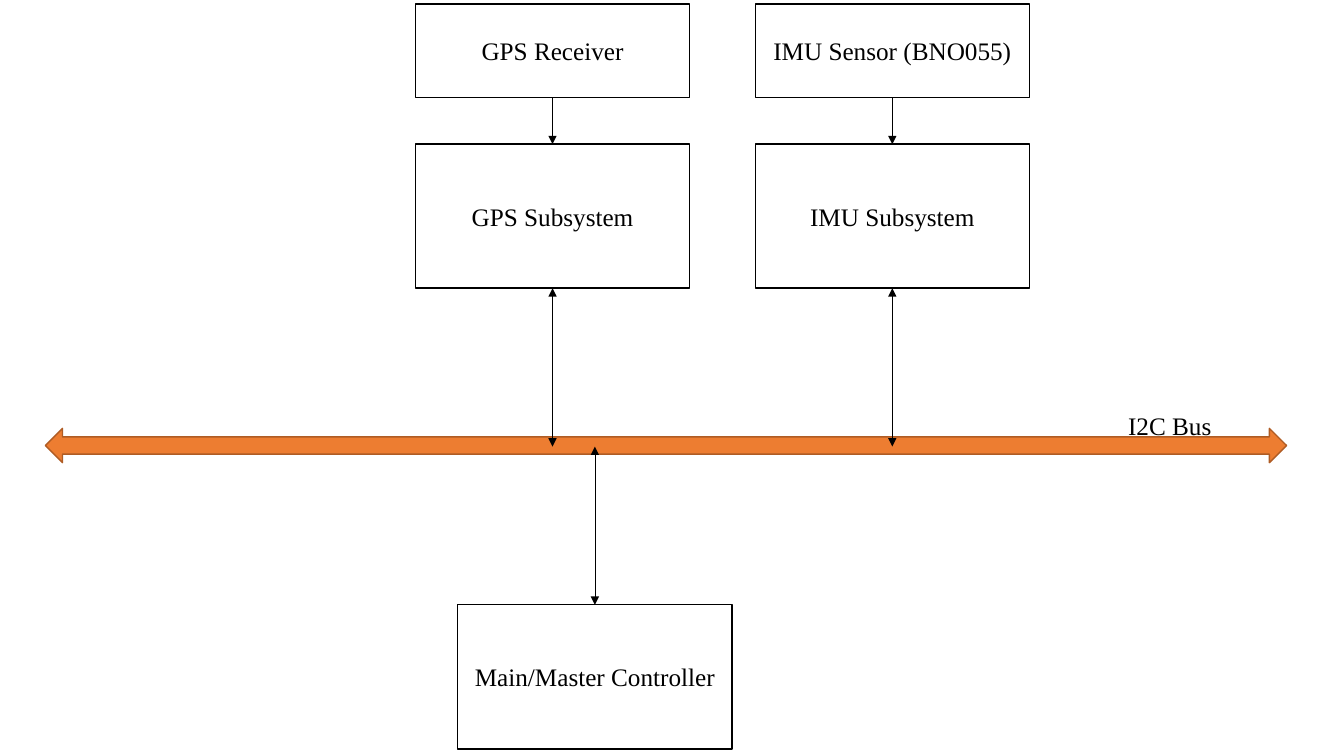
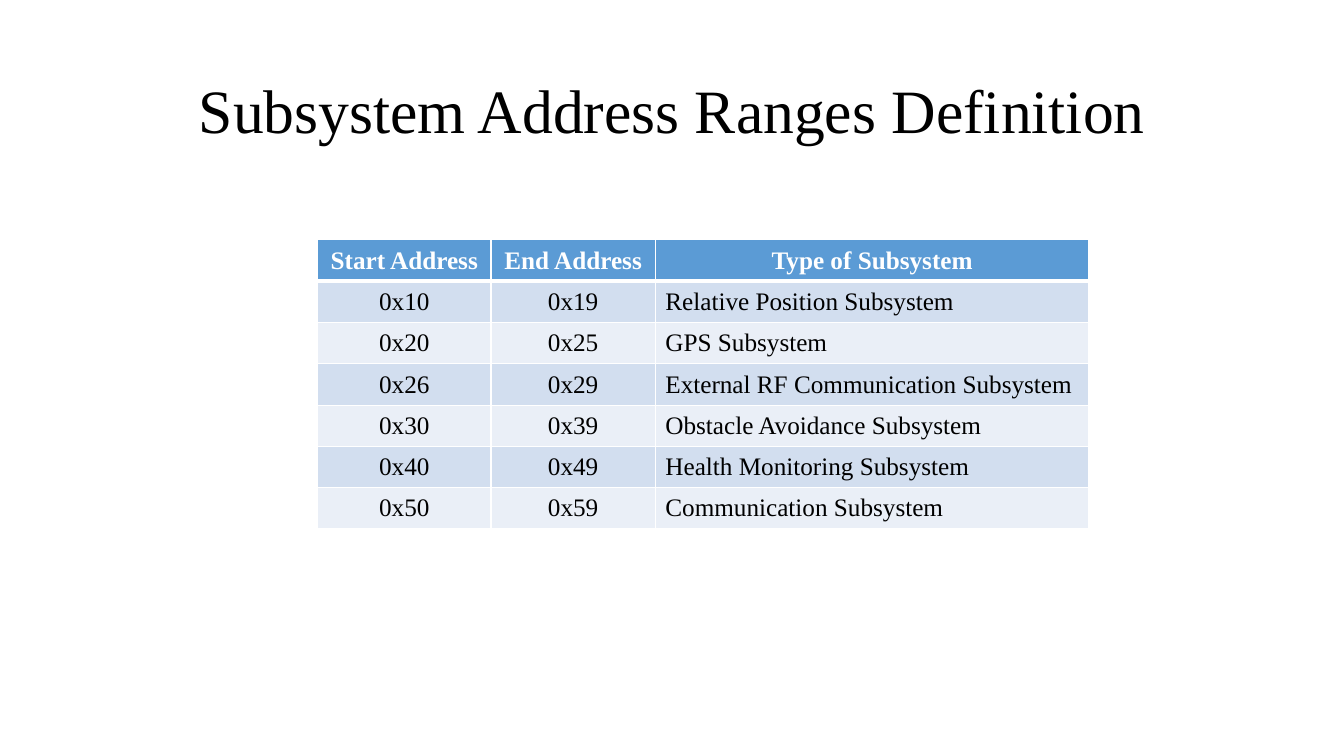
from lxml import etree
from pptx import Presentation
from pptx import util as u
from pptx.dml.color import RGBColor
from pptx.enum import shapes, text
from pptx.oxml.ns import qn

BLACK = RGBColor(0x00, 0x00, 0x00)
WHITE = RGBColor(0xFF, 0xFF, 0xFF)
ORANGE = RGBColor(0xED, 0x7D, 0x31)
BROWN = RGBColor(0xAF, 0x5C, 0x24)
HEADER_BLUE = RGBColor(0x5B, 0x9B, 0xD5)
BANDS = (RGBColor(0xD2, 0xDE, 0xEF), RGBColor(0xEA, 0xEF, 0xF7))
FONT = "Times New Roman"
CENTER, LEFT = text.PP_ALIGN.CENTER, text.PP_ALIGN.LEFT

SLIDE_W, SLIDE_H = 13.33, 7.5
BOX_W, SENSOR_H, UNIT_H = 2.72, 0.93, 1.43
SENSOR_TOP, SUBSYSTEM_TOP, CONTROLLER_TOP = 0.04, 1.43, 6
FIRST_X, COLUMN_STEP, CONTROLLER_X = 4.12, 3.37, 4.54
BUS = (0.45, 4.25, 12.31, 0.34)
BUS_Y = 4.43

CHAINS = [
    ("GPS Receiver", "GPS Subsystem"),
    ("IMU Sensor (BNO055)", "IMU Subsystem"),
]
CONTROLLER = "Main/Master Controller"
BUS_NAME = "I2C Bus"

TITLE = "Subsystem Address Ranges Definition"
ADDRESS_RANGES = [
    ("Start Address", "End Address", "Type of Subsystem"),
    ("0x10", "0x19", "Relative Position Subsystem"),
    ("0x20", "0x25", "GPS Subsystem"),
    ("0x26", "0x29", "External RF Communication Subsystem"),
    ("0x30", "0x39", "Obstacle Avoidance Subsystem"),
    ("0x40", "0x49", "Health Monitoring Subsystem"),
    ("0x50", "0x59", "Communication Subsystem"),
]
COLUMN_WIDTHS = (1.72, 1.63, 4.3)
ROW_H = 0.41


def inches(*lengths):
    return [u.Inches(length) for length in lengths]


def write(frame, words, size=18, color=BLACK, bold=False, align=CENTER,
          anchor=text.MSO_ANCHOR.MIDDLE, wrap=True, spacing=None):
    frame.word_wrap = wrap
    frame.vertical_anchor = anchor
    paragraph = frame.paragraphs[0]
    paragraph.alignment = align
    if spacing:
        paragraph.line_spacing = spacing
    run = paragraph.add_run()
    run.text = words
    run.font.name, run.font.size = FONT, u.Pt(size)
    run.font.bold, run.font.color.rgb = bold, color


def add_block(slide, preset, place, fill, line):
    block = slide.shapes.add_shape(preset, *inches(*place))
    block.shadow.inherit = False
    block.fill.solid()
    block.fill.fore_color.rgb = fill
    block.line.color.rgb = line
    block.line.width = u.Pt(1)
    return block


def add_box(slide, words, x, y, height):
    box = add_block(slide, shapes.MSO_SHAPE.RECTANGLE, (x, y, BOX_W, height), WHITE, BLACK)
    write(box.text_frame, words)
    return box


def add_arrow(slide, x, y_from, y_to, start, side, end=None, both=True):
    arrow = slide.shapes.add_connector(
        shapes.MSO_CONNECTOR.STRAIGHT, *inches(x, y_from, x, y_to))
    arrow.begin_connect(start, side)
    if end is not None:
        arrow.end_connect(end, 0)
    arrow.line.color.rgb = BLACK
    arrow.line.width = u.Pt(0.5)
    line = arrow.line._get_or_add_ln()
    for tip in ("a:headEnd", "a:tailEnd") if both else ("a:tailEnd",):
        etree.SubElement(line, qn(tip), type="triangle")
    etree.SubElement(arrow._element.spPr, qn("a:effectLst"))


def set_borders(cell, top, bottom):
    properties = cell._tc.get_or_add_tcPr()
    for place, (side, width) in enumerate(
            (("L", 1), ("R", 1), ("T", top), ("B", bottom))):
        border = etree.Element(qn(f"a:ln{side}"), w=str(u.Pt(width)))
        fill = etree.SubElement(border, qn("a:solidFill"))
        etree.SubElement(fill, qn("a:srgbClr"), val=str(WHITE))
        properties.insert(place, border)


def build_bus_diagram(deck):
    slide = deck.slides.add_slide(deck.slide_layouts[6])
    add_block(slide, shapes.MSO_SHAPE.LEFT_RIGHT_ARROW, BUS, ORANGE, BROWN)
    bus_label = slide.shapes.add_textbox(*inches(11.09, 4.02, 1.04, 0.4))
    write(bus_label.text_frame, BUS_NAME, align=LEFT,
          anchor=text.MSO_ANCHOR.TOP, wrap=False)

    for column, (sensor_name, subsystem_name) in enumerate(CHAINS):
        x = FIRST_X + column * COLUMN_STEP
        middle = x + BOX_W / 2
        sensor = add_box(slide, sensor_name, x, SENSOR_TOP, SENSOR_H)
        subsystem = add_box(slide, subsystem_name, x, SUBSYSTEM_TOP, UNIT_H)
        add_arrow(slide, middle, SENSOR_TOP + SENSOR_H, SUBSYSTEM_TOP,
                  sensor, 2, end=subsystem, both=False)
        add_arrow(slide, middle, SUBSYSTEM_TOP + UNIT_H, BUS_Y, subsystem, 2)

    controller = add_box(slide, CONTROLLER, CONTROLLER_X, CONTROLLER_TOP, UNIT_H)
    add_arrow(slide, CONTROLLER_X + BOX_W / 2, CONTROLLER_TOP, BUS_Y, controller, 0)


def build_address_table(deck):
    slide = deck.slides.add_slide(deck.slide_layouts[5])
    title = slide.shapes.title
    title.left, title.top, title.width, title.height = inches(0.92, 0.4, 11.5, 1.45)
    write(title.text_frame, TITLE, size=44, spacing=0.9)

    row_count = len(ADDRESS_RANGES)
    ranges = slide.shapes.add_table(
        row_count, len(COLUMN_WIDTHS),
        *inches(3.15, 2.38, sum(COLUMN_WIDTHS), row_count * ROW_H)).table
    for column, width in zip(ranges.columns, COLUMN_WIDTHS):
        column.width = u.Inches(width)
    for r, entries in enumerate(ADDRESS_RANGES):
        header = r == 0
        ranges.rows[r].height = u.Inches(ROW_H)
        for c, words in enumerate(entries):
            cell = ranges.cell(r, c)
            cell.fill.solid()
            cell.fill.fore_color.rgb = HEADER_BLUE if header else BANDS[(r - 1) % 2]
            cell.vertical_anchor = text.MSO_ANCHOR.MIDDLE
            write(cell.text_frame, words, bold=header,
                  color=WHITE if header else BLACK,
                  align=CENTER if header or c < 2 else LEFT)
            set_borders(cell, top=3 if r == 1 else 1, bottom=3 if header else 1)


def main():
    deck = Presentation()
    deck.slide_width, deck.slide_height = inches(SLIDE_W, SLIDE_H)
    build_bus_diagram(deck)
    build_address_table(deck)
    deck.save("out.pptx")


if __name__ == "__main__":
    main()
